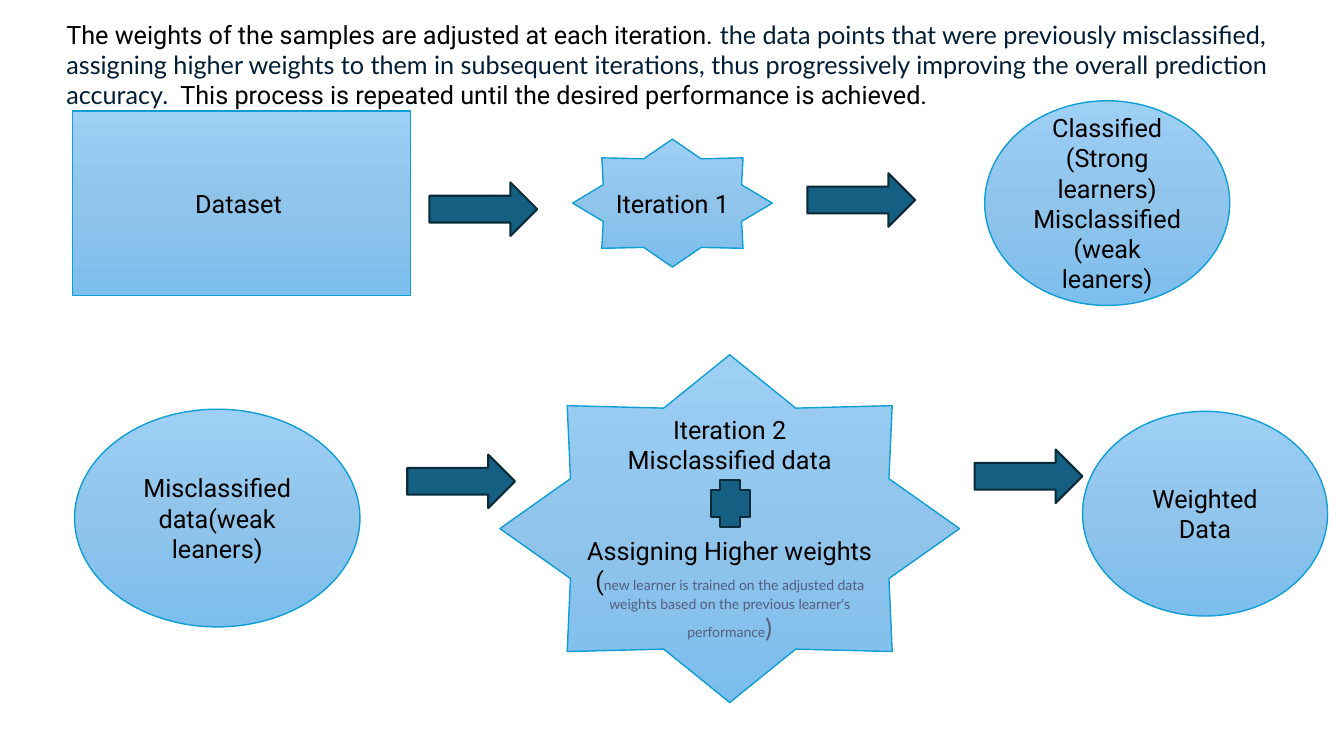
from copy import deepcopy

from pptx import Presentation
from pptx.dml.color import RGBColor
from pptx.enum.shapes import MSO_SHAPE
from pptx.enum.text import MSO_ANCHOR, PP_ALIGN
from pptx.oxml.ns import qn
from pptx.util import Pt

COLORS = {
    "text": "000000", "navy": "001D35", "muted": "545D7E",
    "top": "9ECFF5", "middle": "90C4EB", "bottom": "7CBEED", "edge": "0F9ED5",
    "teal": "156082", "dark": "092A39",
}


def rgb(name):
    return RGBColor.from_string(COLORS[name])


def add_text(p, text, size=18, font="Roboto", color="text"):
    r = p.add_run()
    r.text = text
    r.font.size = Pt(size)
    r.font.name = font
    r.font.color.rgb = rgb(color)


class Diagram:
    def __init__(self, slide):
        self.s = slide

    def shape(self, kind, box, edge, width):
        sp = self.s.shapes.add_shape(kind, *map(Pt, box))
        sp.shadow.inherit = False
        sp.line.color.rgb = rgb(edge)
        sp.line.width = Pt(width)
        return sp

    def node(self, kind, box, *lines):
        """Gradient shape with one centred paragraph per line."""
        sp = self.shape(kind, box, "edge", 1)
        sp.fill.gradient()
        sp.fill.gradient_angle = 270
        stops = sp._element.spPr.find(".//" + qn("a:gsLst"))
        stops.insert(1, deepcopy(stops[0]))
        for i, (stop, name) in enumerate(zip(sp.fill.gradient_stops, ("top", "middle", "bottom"))):
            stop.position = i / 2
            stop.color.rgb = rgb(name)
        tf = sp.text_frame
        tf.word_wrap = True
        tf.vertical_anchor = MSO_ANCHOR.MIDDLE
        for i, line in enumerate(lines):
            p = tf.add_paragraph() if i else tf.paragraphs[0]
            p.alignment = PP_ALIGN.CENTER
            add_text(p, line)
        return tf

    def symbol(self, kind, box):
        sp = self.shape(kind, box, "dark", 1.5)
        sp.fill.solid()
        sp.fill.fore_color.rgb = rgb("teal")

    def arrow(self, x, y):
        self.symbol(MSO_SHAPE.RIGHT_ARROW, (x, y, 77, 38.2))

    def paragraph(self, box):
        tf = self.s.shapes.add_textbox(*map(Pt, box)).text_frame
        tf.word_wrap = True
        return tf.paragraphs[0]


def main():
    prs = Presentation()
    prs.slide_width, prs.slide_height = Pt(960), Pt(540)
    d = Diagram(prs.slides.add_slide(prs.slide_layouts[6]))

    # First iteration
    d.node(MSO_SHAPE.RECTANGLE, (52, 79.2, 241.2, 131.8), "Dataset ")
    d.arrow(306.7, 130.3)
    d.arrow(576.7, 123.8)
    d.node(MSO_SHAPE.OVAL, (703.4, 72, 175, 146.2),
           "Classified (Strong learners)", "Misclassified(weak leaners)")
    d.node(MSO_SHAPE.STAR_8_POINT, (409, 99.4, 142.6, 91.4), "Iteration 1")

    # Introduction
    p = d.paragraph((40.3, 10.1, 900.7, 72.7))
    add_text(p, "The weights of the samples are adjusted at each iteration. ")
    add_text(p, "the data points that were previously misclassified, assigning higher weights "
                "to them in subsequent iterations, thus progressively improving the overall "
                "prediction accuracy.", font="Lato", color="navy")
    add_text(p, "  This process is repeated until the desired performance is achieved.")

    # Second iteration
    d.node(MSO_SHAPE.OVAL, (53.3, 292.3, 203.8, 155.5), "Misclassified data(weak leaners)")
    tf = d.node(MSO_SHAPE.STAR_8_POINT, (357.1, 253.4, 328.3, 248.4),
                "Iteration 2", "Misclassified data", "Assigning Higher weights", "(")
    tf.paragraphs[2].space_before = Pt(43)  # room for the plus sign
    note = tf.paragraphs[3]
    add_text(note, "new learner is trained on the adjusted data weights based on the "
                   "previous learner's performance", size=10, font="Lato", color="muted")
    add_text(note, ")", font="Lato", color="muted")
    d.arrow(290.9, 324.7)
    d.arrow(696.2, 321.1)
    d.symbol(MSO_SHAPE.CROSS, (507.6, 342.7, 28.1, 33.8))
    d.node(MSO_SHAPE.OVAL, (773.3, 293.8, 175, 146.2), "Weighted Data")

    prs.save("out.pptx")


if __name__ == "__main__":
    main()
